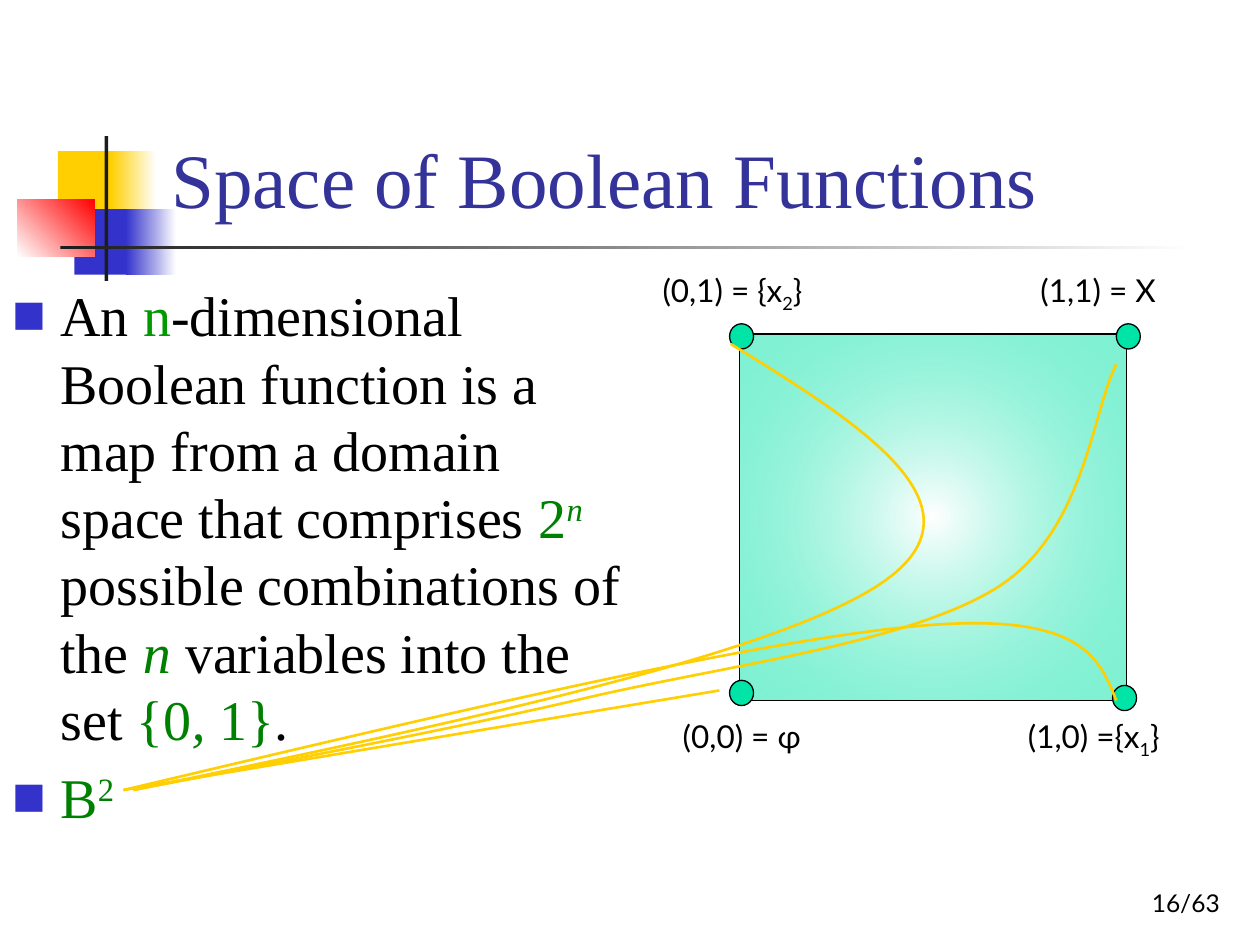
from lxml.etree import SubElement
from pptx import Presentation
from pptx.dml.color import RGBColor
from pptx.enum.shapes import MSO_SHAPE
from pptx.enum.text import MSO_ANCHOR, MSO_AUTO_SIZE, PP_ALIGN
from pptx.oxml.ns import qn
from pptx.util import Inches, Pt

GOLD = RGBColor(0xFF, 0xCF, 0x01)
BLUE = RGBColor(0x33, 0x33, 0xCC)
NAVY = RGBColor(0x33, 0x33, 0x99)
RED = RGBColor(0xFF, 0, 0)
DARK = RGBColor(0x1C, 0x1C, 0x1C)
MINT = RGBColor(0, 0xE4, 0xA8)
LEAF = RGBColor(0, 0x99, 0)
GREEN = RGBColor(0, 0x80, 0)
BLACK = RGBColor(0, 0, 0)
WHITE = RGBColor(0xFF, 0xFF, 0xFF)

deck = Presentation()
deck.slide_width, deck.slide_height = Inches(10), Inches(7.5)
COL = deck.slide_width // 10
slide = deck.slides.add_slide(deck.slide_layouts[1])
shapes = slide.shapes


def draw(kind, box, fills, angle=0, edge=False):
    shape = shapes.add_shape(kind, *[int(v * COL) for v in box])
    shape.shadow.inherit = False
    if len(fills) == 1:
        shape.fill.solid()
        shape.fill.fore_color.rgb = fills[0]
    else:
        shape.fill.gradient()
        shape.fill.gradient_angle = angle
        for stop, color, place in zip(shape.fill.gradient_stops, fills, (0, 1)):
            stop.color.rgb = color
            stop.position = place
    if edge:
        shape.line.color.rgb = BLACK
        shape.line.width = Pt(0.75)
    else:
        shape.line.fill.background()
    return shape


def write(para, runs, base):
    for text, style in runs:
        run = para.add_run()
        run.text = text
        look = {**base, **style}
        shift = look.pop("shift", 0)
        color = look.pop("color")
        for name, value in look.items():
            setattr(run.font, name, value)
        run.font.color.rgb = color
        if shift:
            run._r.get_or_add_rPr().set("baseline", str(shift * 1000))


for box, fills, angle in [
    ((0.46, 1.2, 0.48, 0.52), [GOLD], 0),
    ((0.88, 1.2, 0.36, 0.52), [GOLD, WHITE], 0),
    ((0.59, 1.66, 0.46, 0.52), [BLUE], 0),
    ((1, 1.66, 0.4, 0.52), [BLUE, WHITE], 0),
    ((0.14, 1.58, 0.61, 0.46), [WHITE, RED], 45),
    ((0.83, 1.08, 0.03, 1.15), [DARK], 0),
    ((0.48, 1.95, 9, 0.03), [DARK, WHITE], 0),
]:
    draw(MSO_SHAPE.RECTANGLE, box, fills, angle)

square = draw(MSO_SHAPE.RECTANGLE, (5.87, 2.65, 3.07, 2.91), [WHITE, MINT], edge=True)
grad = square._element.spPr.find(qn("a:gradFill"))
SubElement(grad.findall(".//" + qn("a:srgbClr"))[1], qn("a:alpha"), val="50000")
grad.remove(grad.find(qn("a:lin")))
glow = SubElement(grad, qn("a:path"), path="circle")
SubElement(glow, qn("a:fillToRect"), l="50000", t="50000", r="50000", b="50000")

title, body = slide.placeholders
for holder, box, anchor in [
    (title, (1.26, 0.23, 8.52, 1.6), MSO_ANCHOR.BOTTOM),
    (body, (0, 2.18, 5.16, 5.04), MSO_ANCHOR.TOP),
]:
    for name, value in zip(("left", "top", "width", "height"), box):
        setattr(holder, name, int(value * COL))
    holder.text_frame.vertical_anchor = anchor
    holder.text_frame.auto_size = MSO_AUTO_SIZE.NONE

head = title.text_frame.paragraphs[0]
head.alignment = PP_ALIGN.LEFT
SERIF = {"name": "Times New Roman", "size": Pt(32), "color": BLACK}
write(head, [("Space of Boolean Functions", {})], {**SERIF, "size": Pt(44), "color": NAVY})

hue = {"color": GREEN}
slant = {**hue, "italic": True}
points = [
    [
        ("An ", {}), ("n", {"color": LEAF}),
        ("-dimensional Boolean function is a map from a domain space that comprises ", {}),
        ("2", hue), ("n ", {**slant, "shift": 30}),
        ("possible combinations of the ", {}), ("n ", slant),
        ("variables into the set ", {}),
        ("{0", hue), (", ", slant), ("1}", hue), (".", {}),
    ],
    [("B", hue), ("2", {**hue, "shift": 30})],
]
for row, runs in enumerate(points):
    para = body.text_frame.add_paragraph() if row else body.text_frame.paragraphs[0]
    props = para._p.get_or_add_pPr()
    props.set("marL", str(Inches(0.38)))
    props.set("indent", str(-Inches(0.38)))
    SubElement(SubElement(props, qn("a:buClr")), qn("a:srgbClr"), val=str(BLUE))
    SubElement(props, qn("a:buFont"), typeface="Times New Roman")
    SubElement(props, qn("a:buChar"), char="■")
    para.space_before = Pt(6.4 * row)
    write(para, runs, SERIF)

for x, y in [(5.79, 2.57), (8.83, 5.44), (5.79, 5.4), (8.86, 2.57)]:
    draw(MSO_SHAPE.OVAL, (x, y, 0.19, 0.2), [MINT], edge=True)

sub = {"shift": -25}
SANS = {"name": "Lato", "size": Pt(18), "color": BLACK}
for x, y, wide, runs in [
    (5.32, 5.64, 1.21, [("(0,0) = φ", {})]),
    (8.06, 5.64, 1.7, [("(1,0) ={x", {}), ("1", sub), ("}", {})]),
    (5.16, 2.1, 1.65, [("(0,1) = {x", {}), ("2", sub), ("}", {})]),
    (8.16, 2.1, 1.6, [("(1,1) = X", {})]),
]:
    label = shapes.add_textbox(*[int(v * COL) for v in (x, y, wide, 0.4)])
    label.text_frame.word_wrap = True
    label.text_frame.auto_size = MSO_AUTO_SIZE.SHAPE_TO_FIT_TEXT
    write(label.text_frame.paragraphs[0], runs, SANS)

page = shapes.add_textbox(*[int(v * COL) for v in (7.7, 6.83, 2.08, 0.5)])
page.text_frame.word_wrap = True
page.text_frame.vertical_anchor = MSO_ANCHOR.BOTTOM
page.text_frame.paragraphs[0].alignment = PP_ALIGN.RIGHT
write(page.text_frame.paragraphs[0], [("16/63", {})], {**SANS, "size": Pt(14)})

for curve in [
    [(0.98, 6.27), (0.98, 6.27), (3.35, 5.87), (5.71, 5.48)],
    [(1.06, 6.27), (3.66, 5.73), (6.26, 5.18), (7.05, 4.59),
     (7.84, 4), (6.82, 3.36), (5.8, 2.73)],
    [(0.98, 6.27), (3.47, 5.68), (5.95, 5.09), (7.27, 4.97),
     (8.58, 4.85), (8.72, 5.21), (8.86, 5.56)],
    [(1.06, 6.27), (1.67, 6.15), (3.55, 5.8), (4.69, 5.53), (5.83, 5.27),
     (7.22, 5.1), (7.92, 4.66), (8.61, 4.22), (8.67, 3.26), (8.86, 2.89)],
]:
    first, *rest = [(int(x * COL), int(y * COL)) for x, y in curve]
    pen = shapes.build_freeform(*first)
    pen.add_line_segments(rest, close=False)
    wire = pen.convert_to_shape()
    wire.shadow.inherit = False
    wire.fill.background()
    wire.line.color.rgb = GOLD
    wire.line.width = Pt(1.5)
    track = wire._element.find(".//" + qn("a:path"))
    steps = track.findall(qn("a:lnTo"))
    for start in range(0, len(steps), 3):
        bend = SubElement(track, qn("a:cubicBezTo"))
        for step in steps[start:start + 3]:
            bend.append(step[0])
            track.remove(step)

deck.save("out.pptx")
